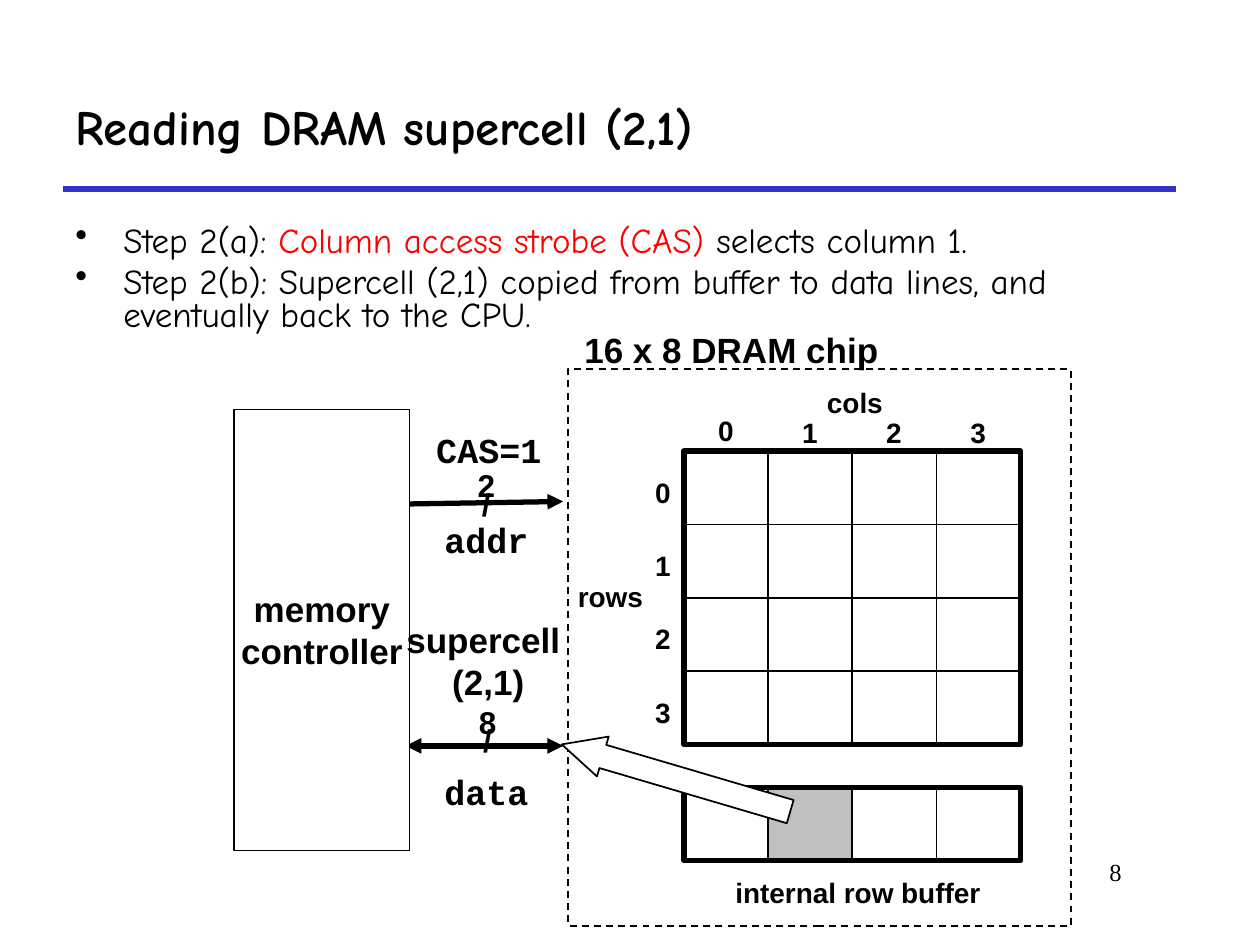
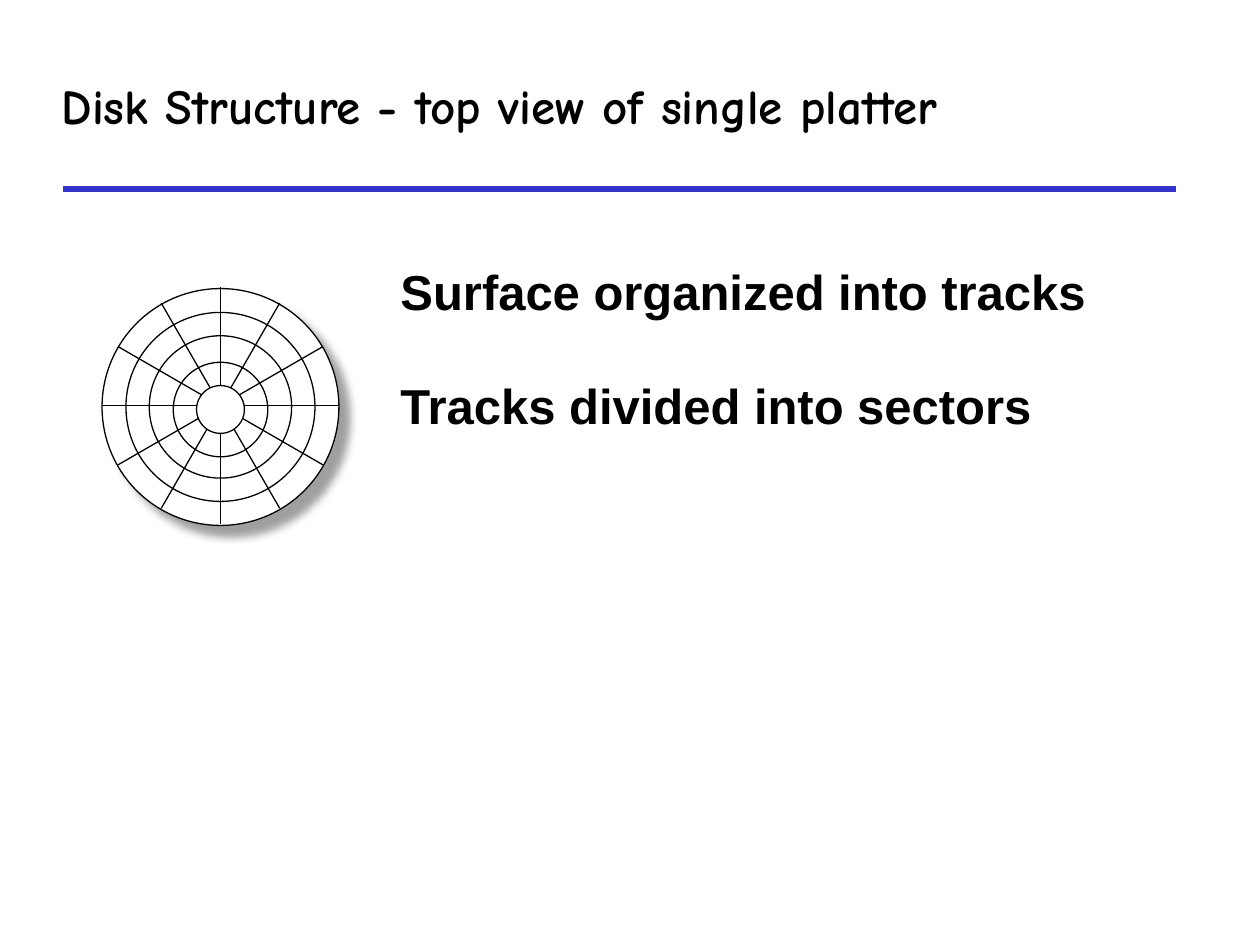
"""Build two slides: reading a DRAM supercell, and the top view of a disk platter."""
import math

import lxml.etree
import pptx
import pptx.dml.color
import pptx.enum.dml
import pptx.enum.shapes
import pptx.enum.text
import pptx.oxml
import pptx.oxml.ns
import pptx.util

Inches = pptx.util.Inches
Pt = pptx.util.Pt
Kind = pptx.enum.shapes.MSO_SHAPE
Align = pptx.enum.text.PP_ALIGN
Anchor = pptx.enum.text.MSO_ANCHOR
qn = pptx.oxml.ns.qn

BLACK = pptx.dml.color.RGBColor(0x00, 0x00, 0x00)
WHITE = pptx.dml.color.RGBColor(0xFF, 0xFF, 0xFF)
GREY = pptx.dml.color.RGBColor(0xC0, 0xC0, 0xC0)
BLUE = pptx.dml.color.RGBColor(0x33, 0x33, 0xCC)
RED = pptx.dml.color.RGBColor(0xFF, 0x00, 0x00)
COMIC, SANS, MONO, SERIF = "Comic Neue", "Arial", "Courier New", "Times New Roman"


def box(page, x, y, w, h, kind=None, fill=None, weight=1):
    """Add an outlined shape, or a text box when no kind is given."""
    area = Inches(x), Inches(y), Inches(w), Inches(h)
    if kind is None:
        return page.shapes.add_textbox(*area)
    item = page.shapes.add_shape(kind, *area)
    item.shadow.inherit = False
    if fill is None:
        item.fill.background()
    else:
        item.fill.solid()
        item.fill.fore_color.rgb = fill
    item.line.color.rgb = BLACK
    item.line.width = Pt(weight)
    return item


def wire(page, x1, y1, x2, y2, weight, color=BLACK, ends=()):
    """Add a straight line with arrowheads at the given ends."""
    line = page.shapes.add_connector(
        pptx.enum.shapes.MSO_CONNECTOR.STRAIGHT,
        Inches(x1), Inches(y1), Inches(x2), Inches(y2))
    line.line.color.rgb = color
    line.line.width = Pt(weight)
    for end in ends:
        lxml.etree.SubElement(line.line._get_or_add_ln(), qn("a:" + end), type="triangle")
    lxml.etree.SubElement(line._element.spPr, qn("a:effectLst"))


deck = pptx.Presentation()
deck.slide_width, deck.slide_height = Inches(10), Inches(7.5)
dram, disk = [deck.slides.add_slide(deck.slide_layouts[6]) for _ in range(2)]
for page in (dram, disk):
    wire(page, 0.5, 1.5, 9.33, 1.5, 3, BLUE)

left, top, wide, high = 5.43, 3.58, 2.67, 2.33
step, drop, base = wide / 4, high / 4, 6.25
for col in range(4):
    x = left + col * step
    for row in range(4):
        box(dram, x, top + row * drop, step, drop, Kind.RECTANGLE, WHITE)
    box(dram, x, base, step, drop, Kind.RECTANGLE, GREY if col == 1 else None)
box(dram, left, top, wide, high, Kind.RECTANGLE, weight=3)
box(dram, left, base, wide, drop, Kind.RECTANGLE, weight=3)
chip = box(dram, 4.51, 2.93, 3.99, 4.42, Kind.RECTANGLE)
chip.line.dash_style = pptx.enum.dml.MSO_LINE.DASH
arrow = box(dram, 5.2, 5.23, 0.33, 1.89, Kind.DOWN_ARROW, WHITE)
arrow.rotation = 106.4
arrow.adjustments[0], arrow.adjustments[1] = 0.58, 1.03
wire(dram, 3.22, 4, 4.47, 3.98, 3, ends=["tailEnd"])
wire(dram, 3.22, 5.92, 4.47, 5.92, 3, ends=["headEnd", "tailEnd"])
memory = box(dram, 1.86, 3.25, 1.39, 3.5, Kind.RECTANGLE, WHITE)

mid, hub = 1.75, 3.23
plate = box(disk, mid - 0.94, hub - 0.94, 1.88, 1.88, Kind.OVAL, WHITE, 0.75)
glow = plate._element.spPr.find(qn("a:effectLst"))
glow.append(pptx.oxml.parse_xml(
    '<a:outerShdw xmlns:a="http://schemas.openxmlformats.org/drawingml/2006/main" '
    'blurRad="63500" dist="107950" dir="2700000" algn="ctr" rotWithShape="0">'
    '<a:srgbClr val="808080"><a:alpha val="75000"/></a:srgbClr></a:outerShdw>'))
for turn in range(6):
    dx = 0.94 * math.cos(math.radians(30 * turn))
    dy = 0.94 * math.sin(math.radians(30 * turn))
    wire(disk, mid + dx, 3.22 - dy, mid - dx, 3.22 + dy, 0.75)
for size, y, fill in [(0.38, 3.25, WHITE), (0.75, 3.25, None), (1.13, hub, None), (1.5, hub, None)]:
    box(disk, mid - size / 2, y - size / 2, size, size, Kind.OVAL, fill, 0.75)

labels = [
    (box(dram, 0.5, 0.5, 8.83, 1), "Reading DRAM supercell (2,1)", 28, COMIC, Align.LEFT, Anchor.MIDDLE),
    (box(disk, 0.39, 0.42, 9.28, 0.83), "Disk Structure - top view of single platter",
     28, COMIC, Align.LEFT, Anchor.MIDDLE),
    (box(disk, 3.08, 1.67, 5.92, 0.92), "Surface organized into tracks", 28, SANS, Align.LEFT, Anchor.BOTTOM),
    (box(disk, 3.08, 2.58, 6.25, 0.92), "Tracks divided into sectors", 28, SANS, Align.LEFT, Anchor.BOTTOM),
    (box(dram, 7.58, 6.75, 1.42, 0.5), "8", 14, SERIF, Align.RIGHT, Anchor.TOP),
]
pulse = box(dram, 3.69, 3.78, 0.34, 0.43)
byte = box(dram, 3.7, 5.68, 0.34, 0.4)
notes = [
    (memory, "memory\ncontroller", 20, SANS),
    (box(dram, 3.12, 4.86, 1.51, 0.77), "supercell \n(2,1)", 20, SANS),
    (box(dram, 4.53, 2.55, 2.55, 0.44), "16 x 8 DRAM chip", 20, SANS),
    (box(dram, 6.46, 3.01, 0.65, 0.37), "cols", 16, SANS),
    (box(dram, 4.48, 4.55, 0.73, 0.37), "rows", 16, SANS),
    (box(dram, 5.73, 6.9, 2.16, 0.37), "internal row buffer", 16, SANS),
    (box(dram, 3.36, 3.35, 1.04, 0.44), "CAS=1", 20, MONO),
    (box(dram, 3.42, 4.06, 0.88, 0.44), "addr", 20, MONO),
    (box(dram, 3.42, 6.06, 0.88, 0.44), "data", 20, MONO),
    (pulse, "2\n/", 18, SANS),
    (byte, "8\n/", 18, SANS),
]
for num in range(4):
    notes.append((box(dram, 5.6 + num * step, 3.25 if num else 3.23, 0.32, 0.37), str(num), 16, SANS))
    notes.append((box(dram, 5.1, 3.72 + num * drop, 0.32, 0.37), str(num), 16, SANS))
labels += [note + (Align.CENTER, Anchor.MIDDLE) for note in notes]

for item, text, size, font, align, anchor in labels:
    frame = item.text_frame
    frame.text = text
    frame.word_wrap = align != Align.CENTER
    frame.vertical_anchor = anchor
    for para in frame.paragraphs:
        para.alignment = align
        for run in para.runs:
            run.font.size, run.font.name = Pt(size), font
            run.font.bold = font != SERIF
            run.font.color.rgb = BLACK
for item, gap in [(pulse, 11), (byte, 10)]:
    for para in item.text_frame.paragraphs:
        para.line_spacing = Pt(gap)

steps = [
    [("Step 2(a): ", BLACK), ("Column access strobe (CAS)", RED), (" selects column 1.", BLACK)],
    [("Step 2(b): Supercell (2,1) copied from buffer to data lines, and eventually back to the CPU.", BLACK)],
]
frame = box(dram, 0.5, 1.75, 9.08, 0.83).text_frame
frame.word_wrap = True
for rank, parts in enumerate(steps):
    para = frame.add_paragraph() if rank else frame.paragraphs[0]
    props = para._p.get_or_add_pPr()
    props.set("marL", str(Inches(0.38)))
    props.set("indent", str(Inches(-0.38)))
    lxml.etree.SubElement(props, qn("a:buChar"), char="•")
    para.line_spacing = 0.8
    para.space_before = Pt(4 * rank)
    for text, color in parts:
        run = para.add_run()
        run.text = text
        run.font.size, run.font.name = Pt(20), COMIC
        run.font.color.rgb = color

deck.save("out.pptx")
